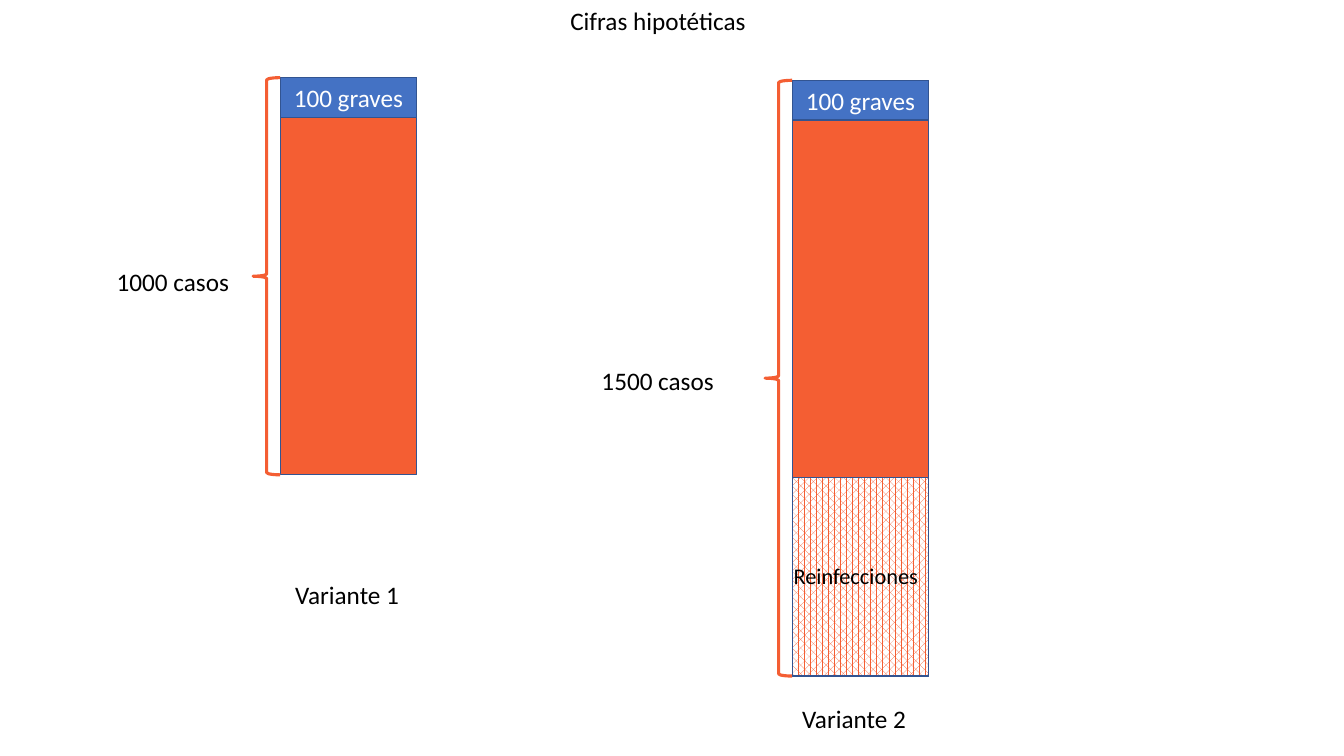
from pptx import Presentation
from pptx.dml.color import RGBColor
from pptx.enum.dml import MSO_PATTERN_TYPE as Pattern
from pptx.enum.shapes import MSO_SHAPE as Shape
from pptx.enum.text import MSO_ANCHOR as Anchor, MSO_AUTO_SIZE as Fit, PP_ALIGN as Align
from pptx.util import Pt

ORANGE, BLUE, EDGE = "F45E33", "4472C4", "325491"
BLACK, WHITE = "000000", "FFFFFF"
BAR_W, BRACE_W, GRAVE_H = 97.4, 19.4, 28.4
UNIT = 141.85


def color(code):
    """Turn a hex string into a colour."""
    return RGBColor.from_string(code)


def write(frame, text, size, ink, align):
    """Put one run of text in a frame."""
    line = frame.paragraphs[0]
    line.alignment = align
    run = line.add_run()
    run.text = text
    run.font.name = "Calibri"
    run.font.size = Pt(size)
    run.font.color.rgb = color(ink)


def label(slide, text, left, top, width, height=29.1, size=18, align=Align.LEFT, wrap=False):
    """Add a text box."""
    box = slide.shapes.add_textbox(Pt(left), Pt(top), Pt(width), Pt(height))
    box.text_frame.word_wrap = wrap
    box.text_frame.auto_size = Fit.SHAPE_TO_FIT_TEXT
    write(box.text_frame, text, size, BLACK, align)


def block(slide, left, top, height, fill):
    """Add one outlined part of a bar."""
    part = slide.shapes.add_shape(Shape.RECTANGLE, Pt(left), Pt(top), Pt(BAR_W), Pt(height))
    part.shadow.inherit = False
    part.fill.solid()
    part.fill.fore_color.rgb = color(fill)
    part.line.color.rgb = color(EDGE)
    part.line.width = Pt(1)
    return part


def brace(slide, left, top, height):
    """Add the brace that spans a bar."""
    mark = slide.shapes.add_shape(Shape.LEFT_BRACE, Pt(left), Pt(top), Pt(BRACE_W), Pt(height))
    mark.shadow.inherit = False
    mark.fill.background()
    mark.line.color.rgb = color(ORANGE)
    mark.line.width = Pt(2.25)


def bar(slide, left, top, height):
    """Add a bar of cases with its severe part and brace."""
    block(slide, left, top, height, ORANGE)
    grave = block(slide, left, top, GRAVE_H, BLUE)
    grave.text_frame.word_wrap = True
    grave.text_frame.vertical_anchor = Anchor.MIDDLE
    write(grave.text_frame, "100 graves", 18, WHITE, Align.CENTER)
    brace(slide, left - BRACE_W, top, height)


def hatch(slide, left, top, height):
    """Add the patterned part of a bar."""
    part = block(slide, left, top, height, WHITE)
    part.fill.patterned()
    part.fill.pattern = Pattern.PERCENT_60
    part.fill.fore_color.rgb = color(ORANGE)
    part.fill.back_color.rgb = color(WHITE)


def main():
    """Build the slide."""
    deck = Presentation()
    deck.slide_width, deck.slide_height = Pt(960), Pt(540)
    slide = deck.slides.add_slide(deck.slide_layouts[6])
    label(slide, "Cifras hipotéticas", 400.3, 0, 141)
    bar(slide, 200.2, 55.5, 2 * UNIT)
    label(slide, "1000 casos", 76.3, 186.5, 95.8)
    label(slide, "Variante 1", 203.8, 410.6, 89.3)
    bar(slide, 565.9, 57.4, 3 * UNIT)
    hatch(slide, 565.9, 57.4 + 2 * UNIT, UNIT)
    label(slide, "1500 casos", 422.6, 257.3, 95.8)
    label(slide, "Reinfecciones ", 546.5, 398.3, 133.2, 26.6, 16, Align.CENTER, True)
    label(slide, "Variante 2", 565.9, 499, 89.3)
    deck.save("out.pptx")


if __name__ == "__main__":
    main()
